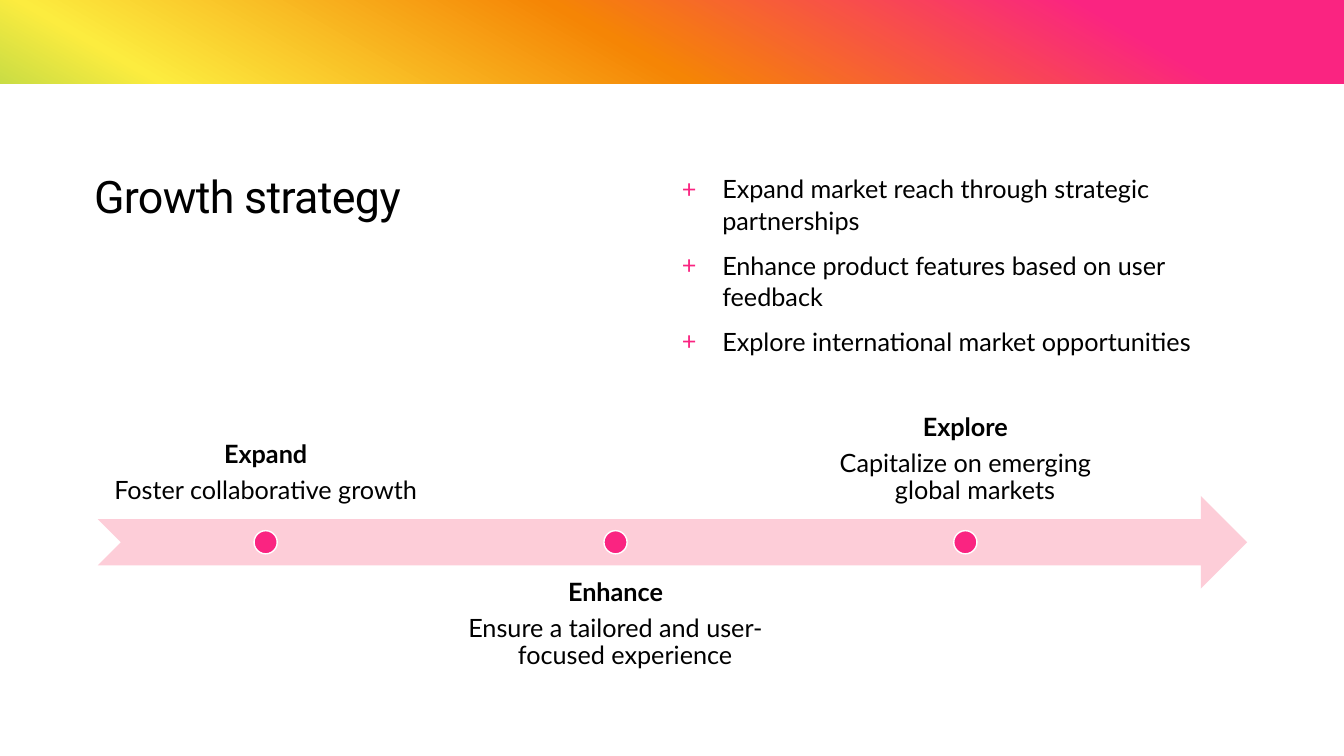
"""Build the growth strategy slide: a bullet list above a three-step arrow."""
from lxml import etree
from pptx import Presentation
from pptx.dml.color import RGBColor
from pptx.enum.shapes import MSO_SHAPE
from pptx.enum.text import MSO_ANCHOR, MSO_AUTO_SIZE, PP_ALIGN
from pptx.oxml.ns import qn
from pptx.util import Inches, Pt

TITLE = "Growth strategy"
GOALS = [
    "Expand market reach through strategic partnerships",
    "Enhance product features based on user feedback",
    "Explore international market opportunities",
]
STEPS = [
    ("Expand", "Foster collaborative growth"),
    ("Enhance", "Ensure a tailored and user-focused experience"),
    ("Explore", "Capitalize on emerging global markets"),
]

BLACK = RGBColor(0, 0, 0)
WHITE = RGBColor(255, 255, 255)
PINK = RGBColor(0xFA, 0x24, 0x81)
BLUSH = RGBColor(0xFD, 0xCD, 0xD8)
STOPS = [
    (10, PINK),
    (30, RGBColor(0xF5, 0x85, 0x05)),
    (50, RGBColor(0xFC, 0xEC, 0x3F)),
    (70, RGBColor(0x51, 0xB8, 0x51)),
    (90, RGBColor(0x42, 0xB3, 0xBD)),
]
ANGLE = 120

RECT, DOT, ARROW = MSO_SHAPE.RECTANGLE, MSO_SHAPE.OVAL, MSO_SHAPE.NOTCHED_RIGHT_ARROW
TOP, BOTTOM = MSO_ANCHOR.TOP, MSO_ANCHOR.BOTTOM
LEFT, CENTER = PP_ALIGN.LEFT, PP_ALIGN.CENTER
FIXED = MSO_AUTO_SIZE.NONE

WIDE, HIGH = 13.33, 7.5
BAND = HIGH / 9
EDGE = WIDE / 16
COL = WIDE / 2 - EDGE
ROW, DEPTH = 1.66, 2.09
BAR = (0.97, 4.92, 11.4, 0.92)
MID = BAR[1] + BAR[3] / 2
PITCH, LABEL, SPOT = 3.47, 3.31, 0.23
UPPER, LOWER = 4.23, 5.61

HEAD = {"size": Pt(32), "name": "Roboto"}
BODY = {"size": Pt(18), "name": "Lato", "bold": False}
BOLD = {**BODY, "bold": True}
FRAME = {"word_wrap": True, "auto_size": FIXED, "vertical_anchor": TOP}
PAD = {"margin_" + side: Inches(0.14) for side in ("left", "right", "top", "bottom")}


def apply(obj, values):
    """Set each attribute named in values."""
    for key, value in values.items():
        setattr(obj, key, value)


def add(node, tag, **values):
    """Append a drawing element with the given attributes."""
    return etree.SubElement(node, qn("a:" + tag), {k: str(v) for k, v in values.items()})


def box(left, top, width, height):
    """Turn inches into slide lengths."""
    return [Inches(v) for v in (left, top, width, height)]


def write(frame, lines, para, indent=0):
    """Fill a frame with (text, font values, paragraph values) lines."""
    for i, (text, font, extra) in enumerate(lines):
        p = frame.paragraphs[0] if i == 0 else frame.add_paragraph()
        apply(p, {**para, **extra})
        run = p.add_run()
        run.text = text
        apply(run.font, font)
        run.font.color.rgb = BLACK


def hang(p, size):
    """Give a paragraph a hanging indent."""
    props = p._p.get_or_add_pPr()
    props.set("marL", str(Inches(size)))
    props.set("indent", str(-Inches(size)))
    return props


def shape(slide, kind, place, color):
    """Add a plain filled shape."""
    item = slide.shapes.add_shape(kind, *box(*place))
    item.shadow.inherit = False
    item.fill.solid()
    item.fill.fore_color.rgb = color
    item.line.fill.background()
    return item


def label(slide, place, frame):
    """Add a text box and return its frame."""
    area = slide.shapes.add_textbox(*box(*place)).text_frame
    apply(area, {**FRAME, **frame})
    return area


def paint(slide):
    """Give the slide its gradient background."""
    fill = slide.background.fill
    fill.gradient()
    fill.gradient_angle = 360 - ANGLE
    stops = slide._element.find(".//" + qn("a:gsLst"))
    for stop in list(stops):
        stops.remove(stop)
    for share, color in STOPS:
        add(add(stops, "gs", pos=share * 1000), "srgbClr", val=color)


def main():
    """Build and save the slide."""
    deck = Presentation()
    deck.slide_width, deck.slide_height = Inches(WIDE), Inches(HIGH)
    slide = deck.slides.add_slide(deck.slide_layouts[5])
    paint(slide)

    title = slide.shapes.title
    apply(title, dict(zip(("left", "top", "width", "height"), box(EDGE, ROW, COL, DEPTH))))
    apply(title.text_frame, FRAME)
    write(title.text_frame, [(TITLE, HEAD, {})], {"alignment": LEFT, "line_spacing": 0.95})
    title.text_frame.paragraphs[0].runs[0].font._element.set("spc", "-50")

    panel = shape(slide, RECT, (0, BAND, WIDE, HIGH - BAND), WHITE)
    title._element.addprevious(panel._element)

    goals = label(slide, (WIDE / 2, ROW, COL, DEPTH), {})
    write(goals, [(text, BODY, {}) for text in GOALS],
          {"alignment": LEFT, "line_spacing": 1.05, "space_before": Pt(9)})
    for p in goals.paragraphs:
        props = hang(p, 0.4)
        add(add(props, "buClr"), "srgbClr", val=PINK)
        add(props, "buFont", typeface="Lato")
        add(props, "buChar", char="+")

    shape(slide, ARROW, BAR, BLUSH)
    for i, (name, text) in enumerate(STEPS):
        left = BAR[0] + 0.01 + i * PITCH
        top, anchor = (LOWER, TOP) if i % 2 else (UPPER, BOTTOM)
        note = label(slide, (left, top, LABEL, BAR[3]), {**PAD, "vertical_anchor": anchor})
        write(note, [(name, BOLD, {"space_after": Pt(6.3)}),
                     (text, BODY, {"space_after": Pt(2.7), "level": 1})],
              {"alignment": CENTER, "line_spacing": 0.9})
        hang(note.paragraphs[1], 0.19)
        spot = shape(slide, DOT, (left + (LABEL - SPOT) / 2, MID - SPOT / 2, SPOT, SPOT), PINK)
        spot.line.color.rgb = WHITE
        spot.line.width = Pt(1)

    deck.save("out.pptx")


if __name__ == "__main__":
    main()
